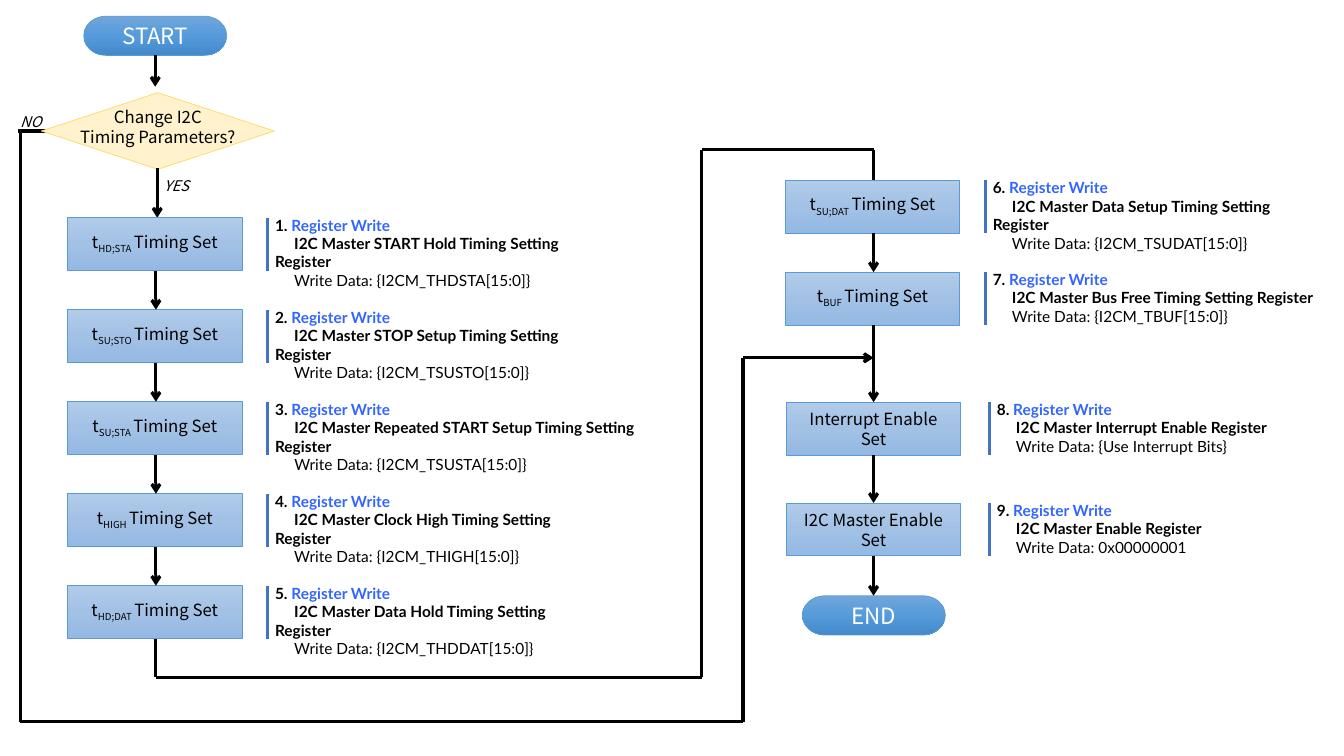
from copy import deepcopy
from itertools import pairwise

from pptx import Presentation, util as u
from pptx.dml.color import RGBColor
from pptx.enum import shapes, text
from pptx.oxml.ns import qn
from lxml import etree

BLACK = RGBColor(0x00, 0x00, 0x00)
WHITE = RGBColor(0xFF, 0xFF, 0xFF)
LINK = RGBColor(0x33, 0x66, 0xFF)
BAR = RGBColor(0x44, 0x72, 0xC4)
EDGE = RGBColor(0x5B, 0x9B, 0xD5)
CREAM = RGBColor(0xFF, 0xF2, 0xCC)
GOLD = RGBColor(0xFF, 0xD9, 0x66)
STEP_BLUES = [RGBColor.from_string(c) for c in ("B1CBE9", "A3C1E5", "93B9E4")]
CAP_BLUES = [RGBColor.from_string(c) for c in ("71A6DB", "559BDB", "448ACA")]

FLOW_FONT, NOTE_FONT = "Noto Sans CJK JP", "Lato"

# The slide is a grid of 100 columns by 100 rows.
SLIDE_W, SLIDE_H = u.Inches(13.33), u.Inches(7.5)
STEP_W, STEP_H = 12.98, 7
CAP_W, CAP_H = 10.65, 5.2
LEFT_AXIS, RIGHT_AXIS = 11.6, 65
FIRST_ROW, ROW_PITCH = 28.8, 12.17
NOTE_W, WIDE_NOTE_W, SHORT_NOTE_W = 25.43, 30.6, 21.83
END_TOP = 78.8

# Subscript, register title, register field, note width
LEFT_STEPS = [
    ("HD;STA", "START Hold Timing Setting", "THDSTA", NOTE_W),
    ("SU;STO", "STOP Setup Timing Setting", "TSUSTO", NOTE_W),
    ("SU;STA", "Repeated START Setup Timing Setting", "TSUSTA", WIDE_NOTE_W),
    ("HIGH", "Clock High Timing Setting", "THIGH", NOTE_W),
    ("HD;DAT", "Data Hold Timing Setting", "THDDAT", NOTE_W),
]
RIGHT_STEPS = [
    ("SU;DAT", "Data Setup Timing Setting", "TSUDAT", NOTE_W),
    ("BUF", "Bus Free Timing Setting", "TBUF", NOTE_W),
]
# Step lines, register title, data, top row
ENABLE_STEPS = [
    (["Interrupt Enable Set"], "Interrupt Enable", "{Use Interrupt Bits}", 53.2),
    (["I2C Master Enable", "Set"], "Enable", "0x00000001", 66.53),
]


def col(n):
    """Convert grid columns to a length."""
    return round(SLIDE_W * n / 100)


def row(n):
    """Convert grid rows to a length."""
    return round(SLIDE_H * n / 100)


def area(x, y, w, h):
    """Convert a grid rectangle to lengths."""
    return col(x), row(y), col(w), row(h)


def add_run(p, words, size, color=BLACK, font=FLOW_FONT, bold=False,
            italic=False, subscript=False):
    """Append one formatted run to a paragraph."""
    r = p.add_run()
    r.text = words
    f = r.font
    f.name, f.size, f.bold, f.italic = font, u.Pt(size), bold, italic
    f.color.rgb = color
    if subscript:
        r._r.get_or_add_rPr().set("baseline", "-25000")


def write_centred(tf, lines, size, color=BLACK, italic=False):
    """Fill a frame with centred lines; each is a list of (words, subscript)."""
    for i, line in enumerate(lines):
        p = tf.paragraphs[0] if i == 0 else tf.add_paragraph()
        p.alignment = text.PP_ALIGN.CENTER
        p.line_spacing = u.Pt(1.2 * size)
        for words, subscript in line:
            add_run(p, words, size, color, italic=italic, subscript=subscript)


def plain(*lines):
    """Turn strings into lines without subscripts."""
    return [[(line, False)] for line in lines]


def add_label(s, box, lines, size, italic=False, anchor=text.MSO_ANCHOR.TOP):
    """Add free centred text."""
    tf = s.shapes.add_textbox(*area(*box)).text_frame
    tf.word_wrap = False
    tf.vertical_anchor = anchor
    write_centred(tf, plain(*lines), size, italic=italic)


def add_node(s, kind, box, colors, edge=EDGE):
    """Add a flowchart shape with a solid or a downward three-stop fill."""
    sp = s.shapes.add_shape(kind, *area(*box))
    sp.shadow.inherit = False
    sp.line.color.rgb, sp.line.width = edge, u.Pt(0.5)
    if len(colors) == 1:
        sp.fill.solid()
        sp.fill.fore_color.rgb = colors[0]
    else:
        sp.fill.gradient()
        sp.fill.gradient_angle = 270
        stops = sp._element.spPr.find(".//" + qn("a:gsLst"))
        stops.insert(1, deepcopy(stops[0]))
        for i, stop in enumerate(sp.fill.gradient_stops):
            stop.position, stop.color.rgb = i / 2, colors[i]
    sp.text_frame.word_wrap = True
    sp.text_frame.vertical_anchor = text.MSO_ANCHOR.MIDDLE
    return sp


def add_cap(s, x, y, words):
    """Add a START or END terminator."""
    sp = add_node(s, shapes.MSO_SHAPE.FLOWCHART_TERMINATOR,
                  (x, y, CAP_W, CAP_H), CAP_BLUES)
    write_centred(sp.text_frame, plain(words), 16, WHITE)


def add_wire(s, points, arrow=False, color=BLACK):
    """Join grid points by straight lines, with an optional final arrowhead."""
    for i, (a, b) in enumerate(pairwise(points)):
        wire = s.shapes.add_connector(shapes.MSO_CONNECTOR.STRAIGHT, col(a[0]),
                                      row(a[1]), col(b[0]), row(b[1]))
        wire.line.color.rgb, wire.line.width = color, u.Pt(2.25)
        if arrow and i == len(points) - 2:
            etree.SubElement(wire.line._get_or_add_ln(), qn("a:tailEnd"),
                             type="arrow")
        etree.SubElement(wire._element.spPr, qn("a:effectLst"))


def add_note(s, x, y, w, number, title, data):
    """Add a register note with the bar at its left, level with its step."""
    tf = s.shapes.add_textbox(*area(x, y - 0.93, w, 8.8)).text_frame
    tf.word_wrap = True
    p = tf.paragraphs[0]
    add_run(p, f"{number}. ", 11, font=NOTE_FONT, bold=True)
    add_run(p, "Register Write", 11, LINK, NOTE_FONT, bold=True)
    for words, bold in ((f"I2C Master {title} Register", True),
                        (f"Write Data: {data}", False)):
        p = tf.add_paragraph()
        pPr = p._p.get_or_add_pPr()
        pPr.set("marL", "0")
        pPr.set("indent", str(u.Inches(0.19)))
        add_run(p, words, 11, font=NOTE_FONT, bold=bold)
    add_wire(s, [(x + 0.18, y), (x + 0.18, y + STEP_H)], color=BAR)


def add_step(s, x, y, lines, note_x, note_w, number, title, data):
    """Add a process box and its note."""
    sp = add_node(s, shapes.MSO_SHAPE.RECTANGLE, (x, y, STEP_W, STEP_H), STEP_BLUES)
    write_centred(sp.text_frame, lines, 12)
    add_note(s, note_x, y, note_w, number, title, data)


def add_timing_steps(s, steps, x, note_x, tops, first_number):
    """Add a column of timing steps."""
    for number, (step, y) in enumerate(zip(steps, tops), first_number):
        sub, title, field, note_w = step
        line = [("t", False), (sub + " ", True), ("Timing Set", False)]
        add_step(s, x, y, [line], note_x, note_w, number, title,
                 f"{{I2CM_{field}[15:0]}}")


def add_down_arrows(s, axis, tops):
    """Link each step to the top of the next one."""
    for y, below in pairwise(tops):
        add_wire(s, [(axis, y + STEP_H), (axis, below)], arrow=True)


def main():
    """Build the slide."""
    prs = Presentation()
    prs.slide_width, prs.slide_height = SLIDE_W, SLIDE_H
    s = prs.slides.add_slide(prs.slide_layouts[6])

    left_tops = [FIRST_ROW + i * ROW_PITCH for i in range(len(LEFT_STEPS))]
    right_tops = [23.87, 36]

    add_label(s, (0.68, 14.27, 3.23, 3.87), ["NO"], 10.5, italic=True)
    add_wire(s, [(3.98, 17.33), (1.35, 17.33)])
    add_wire(s, [(1.5, 17.33), (1.5, 95.47), (55.28, 95.47), (55.28, 47.33),
                 (RIGHT_AXIS, 47.33)], arrow=True)

    add_cap(s, 6.23, 2.13, "START")
    add_wire(s, [(11.55, 7.33), (11.55, 11.47)], arrow=True)
    add_node(s, shapes.MSO_SHAPE.FLOWCHART_DECISION, (3.08, 12.27, 17.33, 10.13),
             [CREAM], GOLD)
    add_label(s, (4.88, 14.67, 13.73, 4.13), ["Change I2C", "Timing Parameters?"],
              12, anchor=text.MSO_ANCHOR.MIDDLE)
    add_label(s, (11.25, 22.67, 3.75, 3.87), ["YES"], 10.5, italic=True)
    add_wire(s, [(11.7, 22.27), (11.7, FIRST_ROW)], arrow=True)

    add_timing_steps(s, LEFT_STEPS, 5.03, 19.73, left_tops, 1)
    add_timing_steps(s, RIGHT_STEPS, 58.43, 73.13, right_tops, 6)
    for number, (lines, title, data, y) in enumerate(ENABLE_STEPS, 8):
        add_step(s, 58.5, y, plain(*lines), 73.43, SHORT_NOTE_W, number, title, data)
        right_tops.append(y)
    add_cap(s, 59.7, END_TOP, "END")

    add_down_arrows(s, LEFT_AXIS, left_tops)
    add_down_arrows(s, RIGHT_AXIS, right_tops + [END_TOP])
    add_wire(s, [(LEFT_AXIS, left_tops[-1] + STEP_H), (LEFT_AXIS, 89.6),
                 (52.2, 89.6), (52.2, 19.8), (RIGHT_AXIS, 19.8),
                 (RIGHT_AXIS, right_tops[0])])

    prs.save("out.pptx")


main()
